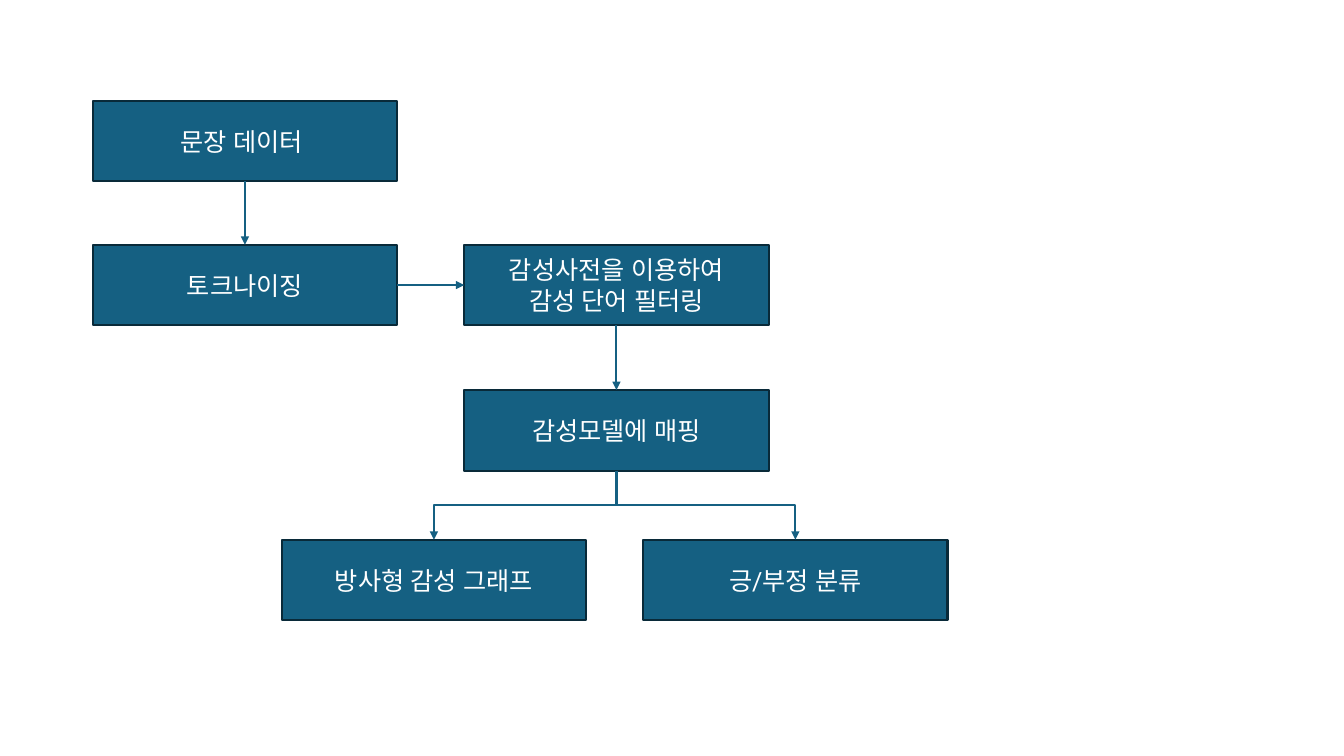
from dataclasses import dataclass

import pptx
import pptx.dml.color
import pptx.enum.shapes
import pptx.enum.text
import pptx.oxml
import pptx.oxml.ns
import pptx.shapes.autoshape
import pptx.shapes.connector
import pptx.shapes.shapetree
import pptx.util

Pt = pptx.util.Pt
Connector = pptx.shapes.connector.Connector
Shape = pptx.shapes.autoshape.Shape
Shapes = pptx.shapes.shapetree.SlideShapes
LinkKind = pptx.enum.shapes.MSO_CONNECTOR
qn = pptx.oxml.ns.qn

STEP_WIDTH, STEP_HEIGHT = 217.44, 57.6
LINE_WIDTH = 1.5
FONT = "Roboto"
TEAL, DARK_TEAL, WHITE = "156082", "092A39", "FFFFFF"
TOP, LEFT, BOTTOM, RIGHT = range(4)


@dataclass(frozen=True)
class Step:
    key: str
    left: float
    top: float
    lines: tuple[str, ...]


@dataclass(frozen=True)
class Link:
    start: str
    start_side: int
    end: str
    end_side: int
    bent: bool = False


STEPS = (
    Step("sentences", 66.24, 72, ("문장 데이터 ",)),
    Step("tokenizing", 66.24, 174.8, ("토크나이징",)),
    Step("filtering", 331.6, 174.8, ("감성사전을 이용하여", "감성 단어 필터링")),
    Step("mapping", 331.6, 278.64, ("감성모델에 매핑",)),
    Step("radial graph", 201.2, 385.5, ("방사형 감성 그래프",)),
    Step("polarity", 459.36, 385.5, ("긍/부정 분류",)),
)

LINKS = (
    Link("sentences", BOTTOM, "tokenizing", TOP),
    Link("tokenizing", RIGHT, "filtering", LEFT),
    Link("filtering", BOTTOM, "mapping", TOP),
    Link("mapping", BOTTOM, "radial graph", TOP, bent=True),
    Link("mapping", BOTTOM, "polarity", TOP, bent=True),
)


def color(value: str) -> pptx.dml.color.RGBColor:
    return pptx.dml.color.RGBColor.from_string(value)


def draw_step(shapes: Shapes, step: Step) -> Shape:
    box = shapes.add_shape(
        pptx.enum.shapes.MSO_SHAPE.RECTANGLE,
        Pt(step.left), Pt(step.top), Pt(STEP_WIDTH), Pt(STEP_HEIGHT),
    )
    box.shadow.inherit = False
    box.fill.solid()
    box.fill.fore_color.rgb = color(TEAL)
    box.line.color.rgb = color(DARK_TEAL)
    box.line.width = Pt(LINE_WIDTH)

    frame = box.text_frame
    frame.word_wrap = True
    frame.vertical_anchor = pptx.enum.text.MSO_ANCHOR.MIDDLE
    frame.text = "\n".join(step.lines)
    for para in frame.paragraphs:
        para.alignment = pptx.enum.text.PP_ALIGN.CENTER
        para.font.name = FONT
        para.font.size = Pt(18)
        para.font.color.rgb = color(WHITE)
        # The same typeface for Korean and complex scripts
        for script in ("ea", "cs"):
            typeface = pptx.oxml.parse_xml(
                f'<a:{script} {pptx.oxml.ns.nsdecls("a")} typeface="{FONT}"/>'
            )
            para.font._element.append(typeface)
    return box


def turn_downward(connector: Connector) -> None:
    """Rotate an elbow so that it leaves and arrives vertically."""
    across = connector.end_x - connector.begin_x
    down = connector.end_y - connector.begin_y
    center_x = (connector.begin_x + connector.end_x) // 2
    center_y = (connector.begin_y + connector.end_y) // 2
    connector.left = center_x - down // 2
    connector.top = center_y - abs(across) // 2
    connector.width, connector.height = down, abs(across)
    transform = connector._element.spPr.find(qn("a:xfrm"))
    transform.set("rot", str((270 if across > 0 else 90) * 60000))
    transform.set("flipH", "1" if across > 0 else "0")


def draw_link(shapes: Shapes, link: Link, boxes: dict[str, Shape]) -> None:
    kind = LinkKind.ELBOW if link.bent else LinkKind.STRAIGHT
    connector = shapes.add_connector(kind, Pt(0), Pt(0), Pt(0), Pt(0))
    connector.begin_connect(boxes[link.start], link.start_side)
    connector.end_connect(boxes[link.end], link.end_side)
    if link.bent:
        turn_downward(connector)
    connector.line.color.rgb = color(TEAL)
    connector.line.width = Pt(LINE_WIDTH)

    # Arrowhead at the end, and no shadow
    arrow = pptx.oxml.parse_xml(f'<a:tailEnd {pptx.oxml.ns.nsdecls("a")} type="triangle"/>')
    connector.line._get_or_add_ln().append(arrow)
    no_effect = pptx.oxml.parse_xml(f'<a:effectLst {pptx.oxml.ns.nsdecls("a")}/>')
    connector._element.spPr.append(no_effect)


def main() -> None:
    deck = pptx.Presentation()
    deck.slide_width, deck.slide_height = Pt(960), Pt(540)
    page = deck.slides.add_slide(deck.slide_layouts[6])

    # Process steps
    boxes = {step.key: draw_step(page.shapes, step) for step in STEPS}

    # Arrows between the steps
    for link in LINKS:
        draw_link(page.shapes, link, boxes)

    deck.save("out.pptx")


if __name__ == "__main__":
    main()
